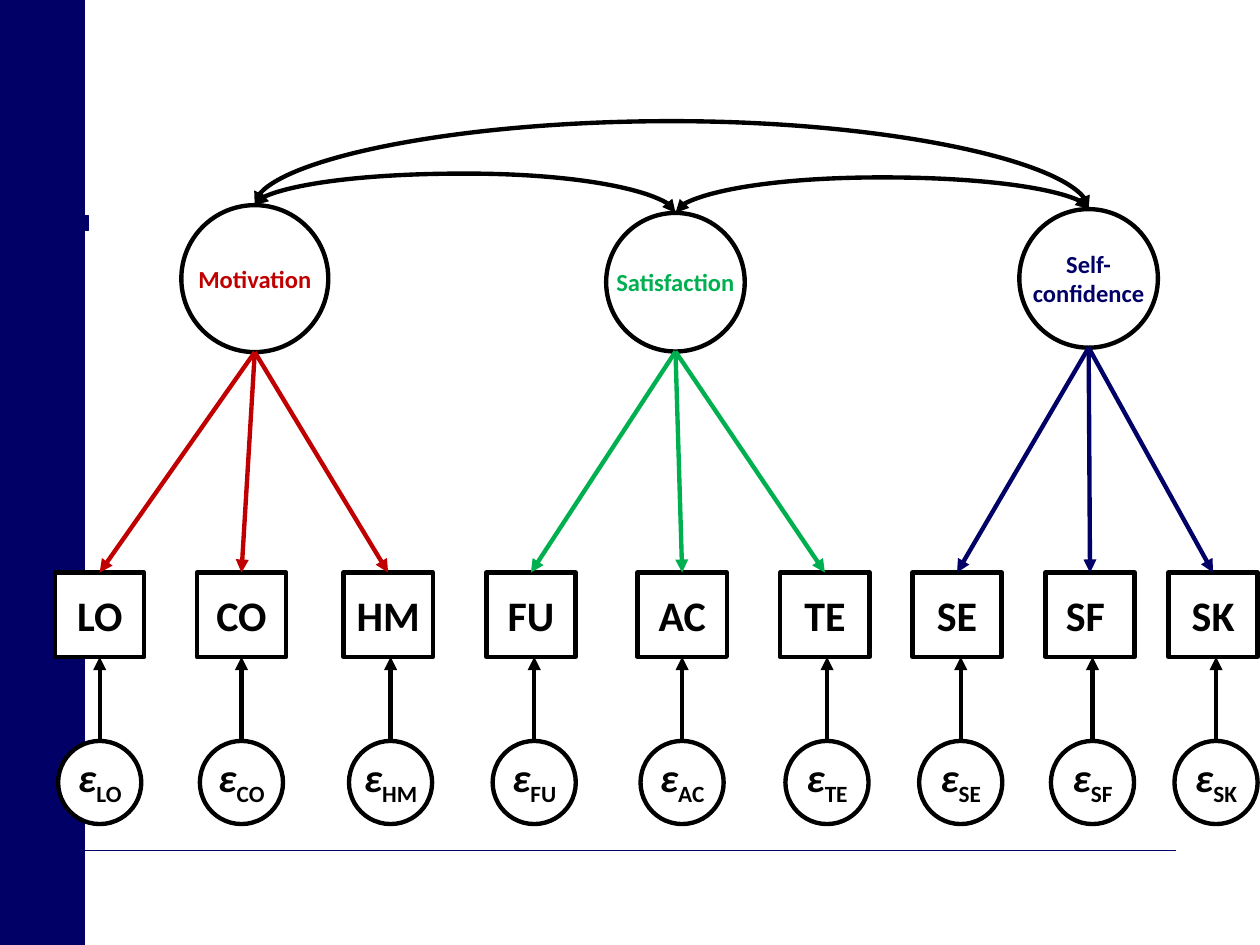
from dataclasses import dataclass
from typing import Optional

from lxml import etree
from pptx import Presentation
from pptx.dml.color import RGBColor
from pptx.enum.shapes import MSO_CONNECTOR, MSO_SHAPE
from pptx.enum.text import MSO_ANCHOR, PP_ALIGN
from pptx.oxml.ns import qn
from pptx.util import Pt

RECT, OVAL = MSO_SHAPE.RECTANGLE, MSO_SHAPE.OVAL
LINE, CURVE = MSO_CONNECTOR.STRAIGHT, MSO_CONNECTOR.CURVE
CENTER, MIDDLE = PP_ALIGN.CENTER, MSO_ANCHOR.MIDDLE
COLORS = {"black": "000000", "white": "FFFFFF", "navy": "000066",
          "red": "C00000", "green": "00B050"}
FONT = "Calibri"
STROKE = 2.5
BOX_W, BOX_H, BOX_TOP = 51, 48.2, 327.2
ERR_SIZE, ERR_TOP = 47.5, 423.4


@dataclass
class Item:
    name: str
    x: float
    err_x: float
    fill: Optional[str] = None


@dataclass
class Factor:
    lines: list[str]
    color: str
    x: float
    top: float
    size: float
    items: list[Item]


@dataclass
class Arc:
    start: int
    end: int
    peak: float


FACTORS = [
    Factor(["Motivation"], "red", 145.6, 117.2, 84, [
        Item("LO", 57, 57, "white"), Item("CO", 138, 138), Item("HM", 221.8, 223.2)]),
    Factor(["Satisfaction"], "green", 386, 121.7, 79.2, [
        Item("FU", 303.4, 305.3), Item("AC", 389.8, 389.8), Item("TE", 471.4, 472.6)]),
    Factor(["Self-", "confidence"], "navy", 622.1, 119.5, 79.2, [
        Item("SE", 546.9, 549), Item("SF ", 622.9, 624.3), Item("SK", 693.2, 694.9)]),
]
ARCS = [Arc(0, 1, 99.2), Arc(1, 2, 101.5), Arc(0, 2, 69.1)]


def rgb(color: str) -> RGBColor:
    return RGBColor.from_string(COLORS[color])


def add_node(slide, kind, x, top, wide, high, fill=None, line="black", weight=STROKE):
    """Add an outlined shape centred on x."""
    node = slide.shapes.add_shape(kind, Pt(x - wide / 2), Pt(top), Pt(wide), Pt(high))
    node.shadow.inherit = False
    if fill:
        node.fill.solid()
        node.fill.fore_color.rgb = rgb(fill)
    else:
        node.fill.background()
    node.line.color.rgb = rgb(line)
    node.line.width = Pt(weight)
    return node


def set_frame(node, sides: float, top: float, wrap: bool):
    frame = node.text_frame
    frame.margin_left = frame.margin_right = Pt(sides)
    frame.margin_top, frame.margin_bottom = Pt(top), Pt(3.6)
    frame.word_wrap = wrap
    frame.vertical_anchor = MIDDLE
    frame.paragraphs[0].alignment = CENTER
    return frame


def add_run(para, text: str, size: float, color: str = "black", italic: bool = False):
    run = para.add_run()
    run.text = text
    font = run.font
    font.name, font.size, font.bold = FONT, Pt(size), True
    font.italic = italic
    font.color.rgb = rgb(color)
    return run


def add_line(slide, start, end, color="black", weight=STROKE, heads=("tailEnd",), kind=LINE):
    line = slide.shapes.add_connector(kind, Pt(start[0]), Pt(start[1]), Pt(end[0]), Pt(end[1]))
    line.line.color.rgb = rgb(color)
    line.line.width = Pt(weight)
    stroke = line.line._get_or_add_ln()
    for head in heads:
        etree.SubElement(stroke, qn(f"a:{head}")).set("type", "triangle")
    etree.SubElement(line._element.spPr, qn("a:effectLst"))
    return line


def add_arc(slide, arc: Arc) -> None:
    """Join two factor tops by a quarter-turned curve that rises to the peak."""
    one, two = FACTORS[arc.start], FACTORS[arc.end]
    mid_x, mid_y = (one.x + two.x) / 2, (one.top + two.top) / 2
    drop, span = two.top - one.top, two.x - one.x
    half = abs(drop) / 2
    curve = add_line(slide, (mid_x - half, mid_y - span / 2), (mid_x + half, mid_y + span / 2),
                     heads=("headEnd", "tailEnd"), kind=CURVE)
    frame = curve._element.spPr.find(qn("a:xfrm"))
    frame.set("rot", str((270 if drop > 0 else 90) * 60000))
    frame.set("flipH", "1")
    if drop < 0:
        frame.set("flipV", "1")
    bend = curve._element.spPr.find(qn("a:prstGeom")).find(qn("a:avLst"))
    guide = etree.SubElement(bend, qn("a:gd"))
    guide.set("name", "adj1")
    guide.set("fmla", f"val {round((arc.peak - one.top) / drop * 100000)}")


def add_factor(slide, factor: Factor) -> None:
    node = add_node(slide, OVAL, factor.x, factor.top, factor.size, factor.size)
    frame = set_frame(node, 0, 3.6, False)
    for i, text in enumerate(factor.lines):
        para = frame.add_paragraph() if i else frame.paragraphs[0]
        para.alignment = CENTER
        add_run(para, text, 14, factor.color)


def add_item(slide, item: Item, factor: Factor) -> None:
    """Add an item box, its error term and the arrows into the box."""
    box = add_node(slide, RECT, item.x, BOX_TOP, BOX_W, BOX_H, item.fill)
    add_run(set_frame(box, 7.2, 3.6, True).paragraphs[0], item.name, 24)

    error = add_node(slide, OVAL, item.err_x, ERR_TOP, ERR_SIZE, ERR_SIZE, item.fill)
    para = set_frame(error, 0, 0, True).paragraphs[0]
    add_run(para, "ε", 23, italic=True)
    sub = add_run(para, item.name.strip(), 23)
    sub._r.get_or_add_rPr().set("baseline", "-25000")

    add_line(slide, (item.err_x, ERR_TOP), (item.err_x, BOX_TOP + BOX_H))
    add_line(slide, (factor.x, factor.top + factor.size), (item.x, BOX_TOP), factor.color)


def main() -> None:
    deck = Presentation()
    deck.slide_width, deck.slide_height = Pt(720), Pt(540)
    slide = deck.slides.add_slide(deck.slide_layouts[6])

    add_node(slide, RECT, 49.2, 123.1, 2, 8.7, "navy", "navy", 0.25)
    add_line(slide, (48.2, 486), (672, 486), "navy", 0.25, ())
    add_node(slide, RECT, 24.1, 0, 48.2, 540, "navy", "navy", 1)

    for factor in FACTORS:
        add_factor(slide, factor)
        for item in factor.items:
            add_item(slide, item, factor)
    for arc in ARCS:
        add_arc(slide, arc)
    deck.save("out.pptx")


if __name__ == "__main__":
    main()
